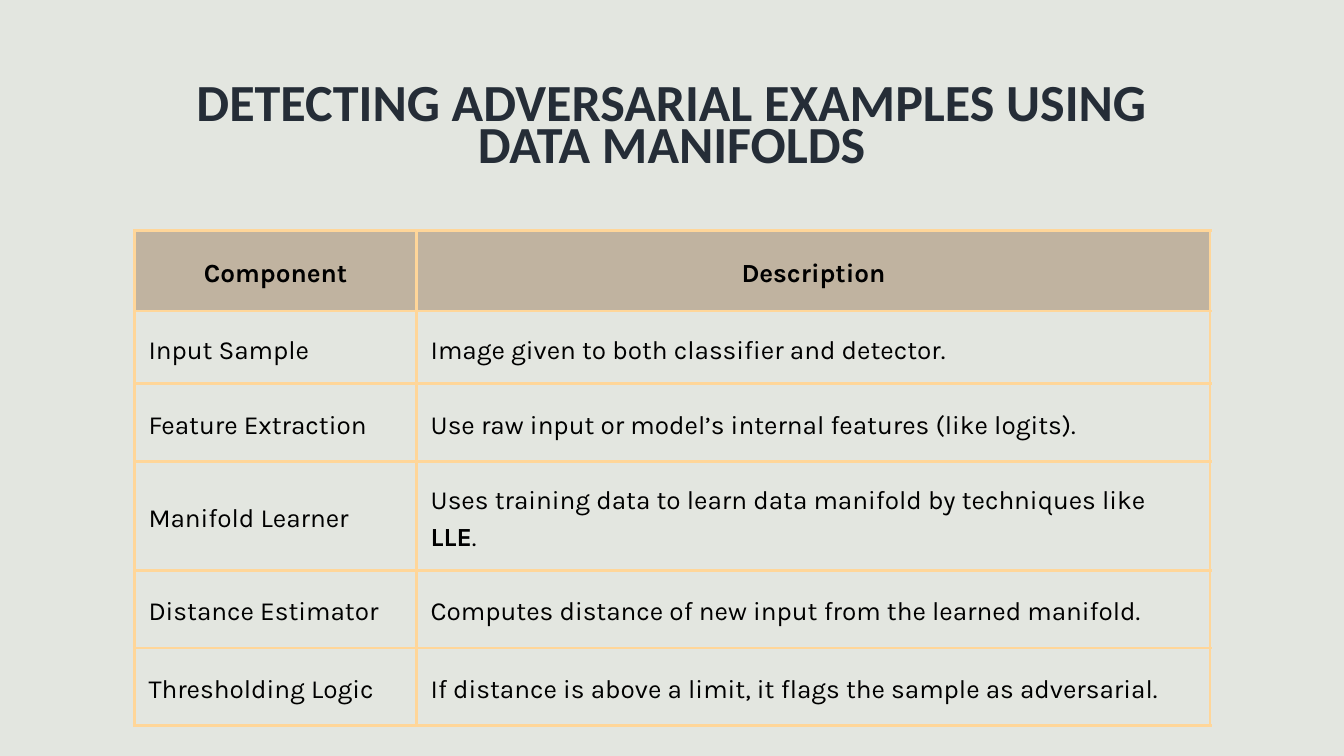
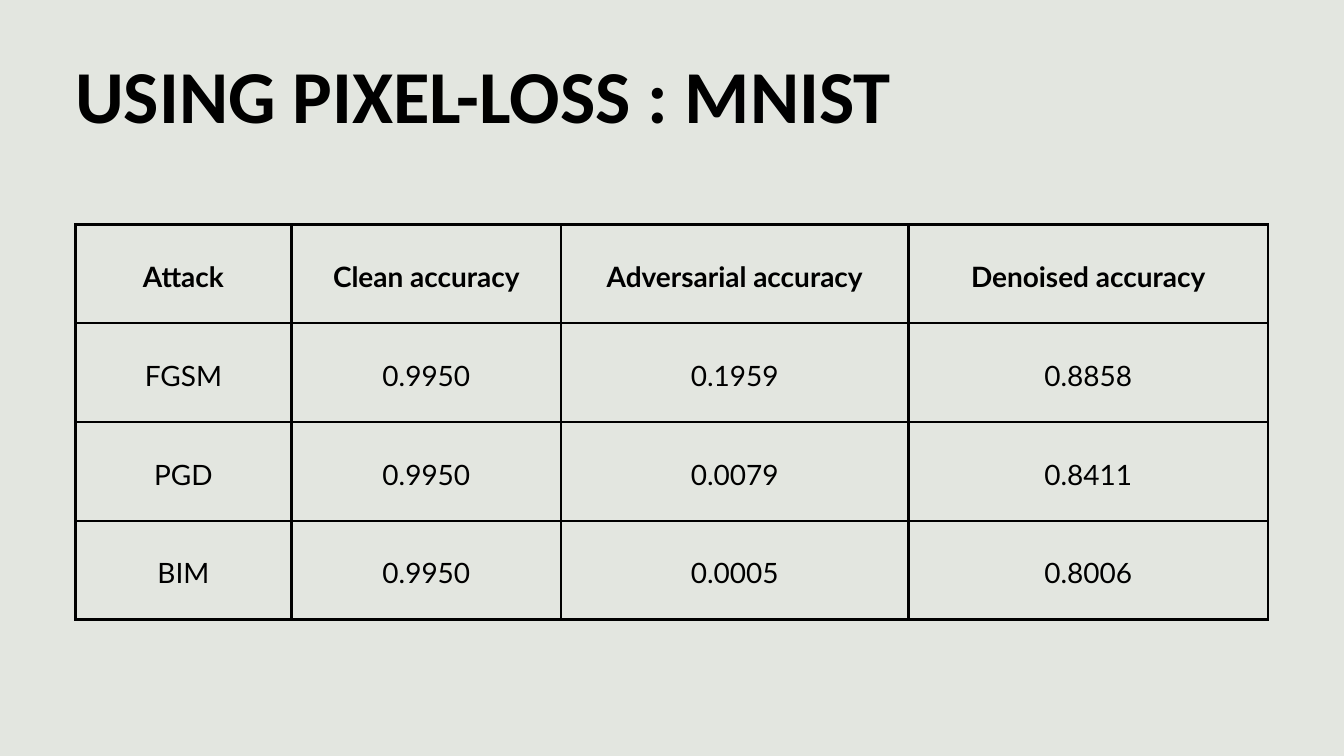
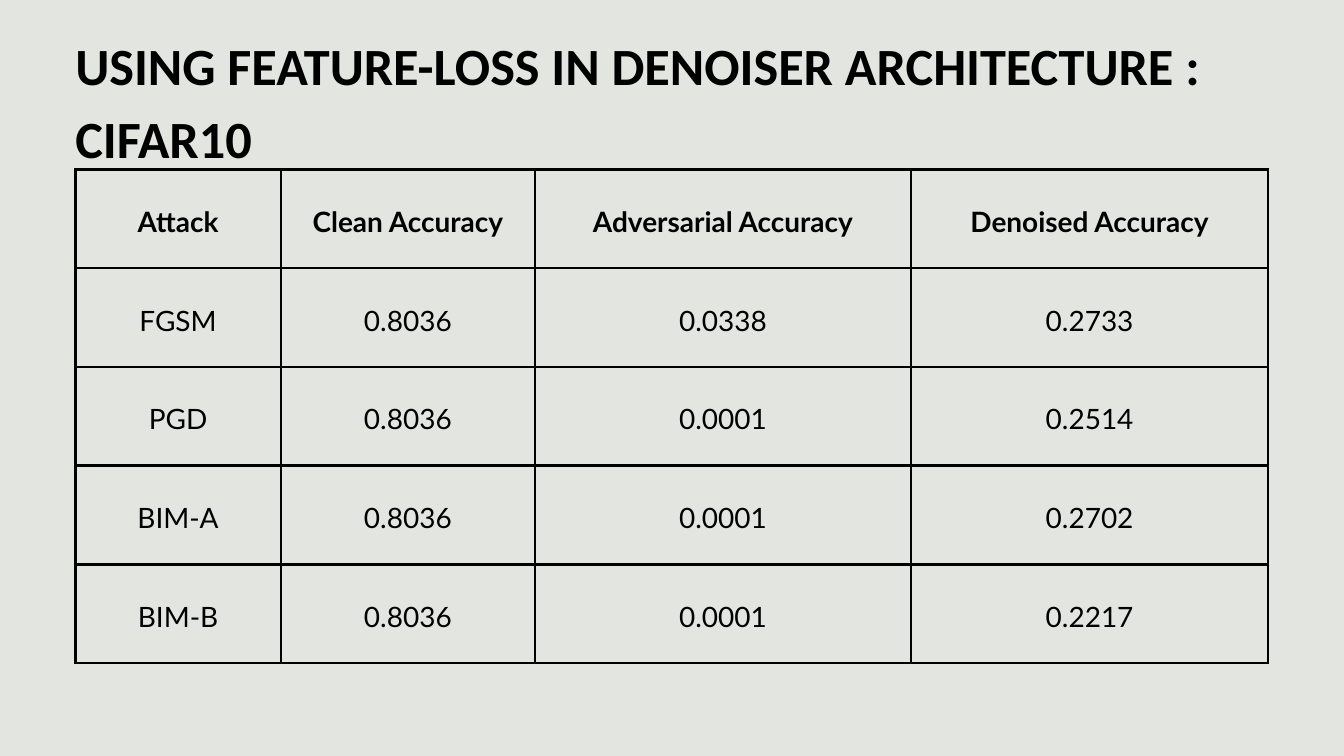
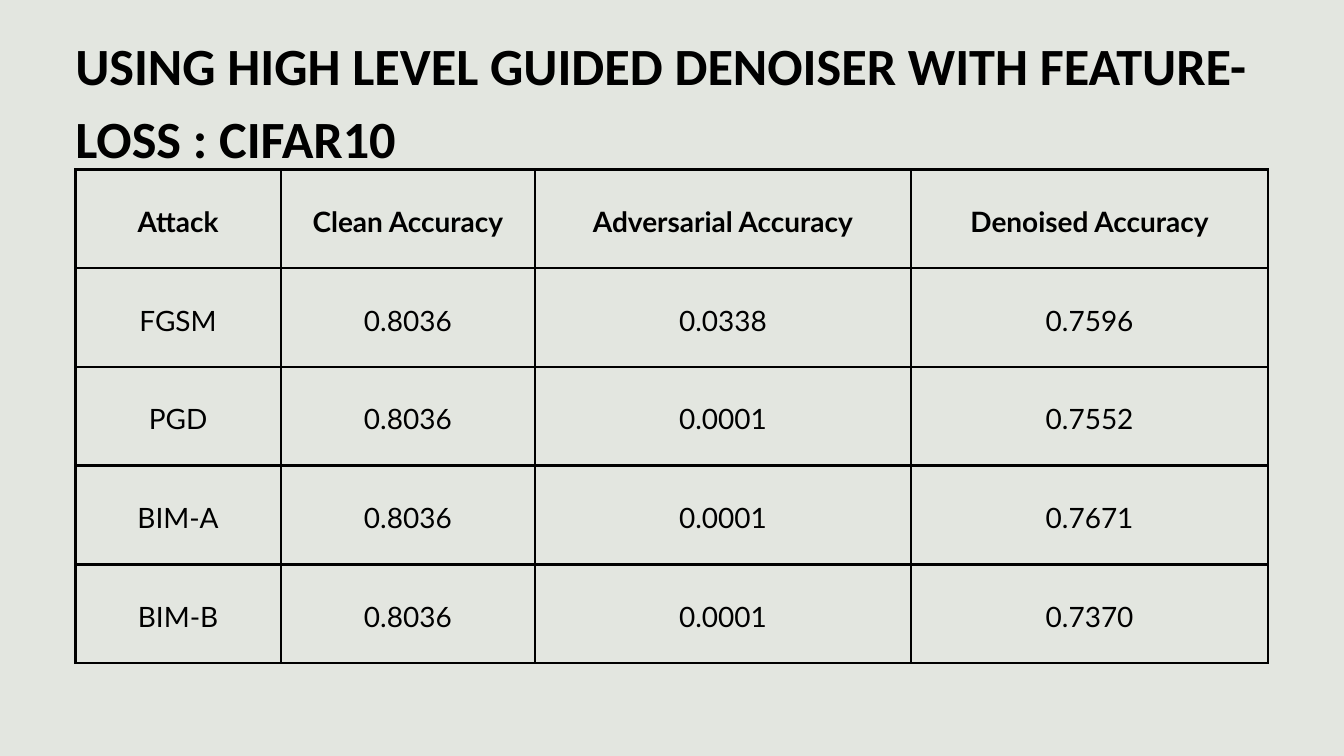
from lxml import etree
from pptx import Presentation
from pptx.dml.color import RGBColor
from pptx.enum.text import MSO_ANCHOR, MSO_AUTO_SIZE, PP_ALIGN
from pptx.oxml.ns import qn
from pptx.util import Inches, Pt

LEFT, CENTER = PP_ALIGN.LEFT, PP_ALIGN.CENTER
TOP, MIDDLE = MSO_ANCHOR.TOP, MSO_ANCHOR.MIDDLE
GROW = MSO_AUTO_SIZE.SHAPE_TO_FIT_TEXT

# Shared look
PAPER, INK, SLATE = "E3E6E0", "000000", "252D37"
SAND, GOLD = "C0B3A0", "FFD699"
TITLE_FONT = "Calibri"
CELL_MARGIN = Inches(0.21)
BORDER_WIDTH = Pt(3)
LINE_FACTOR = 1.4
TITLE_ONLY_LAYOUT = 5


def color(hex_string):
    return RGBColor.from_string(hex_string)


def write(frame, text, font, size, hex_string, bold, align, spacing):
    """Fill the first paragraph; parts between ** marks are bold."""
    para = frame.paragraphs[0]
    para.alignment = align
    para.line_spacing = Pt(spacing)
    for index, part in enumerate(text.split("**")):
        span = para.add_run()
        span.text = part
        span.font.name = font
        span.font.size = Pt(size)
        span.font.bold = bold or index % 2 == 1
        span.font.color.rgb = color(hex_string)


# Table styles
component_style = {"font": "Karla", "size": 28, "border": GOLD,
                   "header_fill": SAND, "body_align": LEFT}
accuracy_style = {"font": "Lato", "size": 30, "border": INK,
                  "header_fill": None, "body_align": CENTER}

# Title styles
centered_title = {"place": (2.26, 1.34, 15.47, 1.32), "size": 55.8,
                  "spacing": 44.7, "color": SLATE, "align": CENTER}
large_title = {"place": (1.12, 0.51, 15.17, 1.51), "size": 80,
               "spacing": 112, "color": INK, "align": LEFT}
two_line_title = {"place": (1.12, 0.34, 17.67, 2.14), "size": 56,
                  "spacing": 78.4, "color": INK, "align": LEFT}

# Table contents
components = [
    ("Component", "Description"),
    ("Input Sample", "Image given to both classifier and detector."),
    ("Feature Extraction", "Use raw input or model’s internal features (like logits)."),
    ("Manifold Learner", "Uses training data to learn data manifold by techniques like **LLE**."),
    ("Distance Estimator", "Computes distance of new input from the learned manifold."),
    ("Thresholding Logic", "If distance is above a limit, it flags the sample as adversarial."),
]
mnist = [
    ("Attack", "Clean accuracy", "Adversarial accuracy", "Denoised accuracy"),
    ("FGSM", "0.9950", "0.1959", "0.8858"),
    ("PGD", "0.9950", "0.0079", "0.8411"),
    ("BIM", "0.9950", "0.0005", "0.8006"),
]
cifar_attacks = [
    ("Attack", "Clean Accuracy", "Adversarial Accuracy"),
    ("FGSM", "0.8036", "0.0338"),
    ("PGD", "0.8036", "0.0001"),
    ("BIM-A", "0.8036", "0.0001"),
    ("BIM-B", "0.8036", "0.0001"),
]
feature_loss = ["Denoised Accuracy", "0.2733", "0.2514", "0.2702", "0.2217"]
guided_denoiser = ["Denoised Accuracy", "0.7596", "0.7552", "0.7671", "0.7370"]
cifar_widths = [3.06, 3.78, 5.6, 5.31]
accuracy_height = 1.47

# Pages: title, title style, table style, table corner, widths, heights, rows
pages = [
    ("DETECTING ADVERSARIAL EXAMPLES USING DATA MANIFOLDS", centered_title,
     component_style, (2, 3.43), [4.2, 11.81],
     [1.2, 1.08, 1.16, 1.62, 1.15, 1.16], components),
    ("USING PIXEL-LOSS : MNIST", large_title,
     accuracy_style, (1.12, 3.34), [3.22, 4.01, 5.17, 5.35],
     [accuracy_height] * len(mnist), mnist),
]
for title_text, denoised in (
    ("USING FEATURE-LOSS IN DENOISER ARCHITECTURE : CIFAR10", feature_loss),
    ("USING HIGH LEVEL GUIDED DENOISER WITH FEATURE-LOSS : CIFAR10", guided_denoiser),
):
    rows = [(*attack, value) for attack, value in zip(cifar_attacks, denoised)]
    pages.append((title_text, two_line_title, accuracy_style, (1.12, 2.52),
                  cifar_widths, [accuracy_height] * len(rows), rows))

# Deck and background
deck = Presentation()
deck.slide_width, deck.slide_height = Inches(20), Inches(11.25)
background = deck.slide_master.background.fill
background.solid()
background.fore_color.rgb = color(PAPER)

for title_text, title_style, style, corner, widths, heights, rows in pages:
    page = deck.slides.add_slide(deck.slide_layouts[TITLE_ONLY_LAYOUT])

    # Title
    title = page.shapes.title
    title.left, title.top, title.width, title.height = map(Inches, title_style["place"])
    frame = title.text_frame
    frame.word_wrap = True
    frame.auto_size = GROW
    frame.vertical_anchor = TOP
    frame.margin_left = frame.margin_right = frame.margin_top = frame.margin_bottom = 0
    write(frame, title_text, TITLE_FONT, title_style["size"], title_style["color"],
          True, title_style["align"], title_style["spacing"])

    # Table grid
    table = page.shapes.add_table(
        len(rows), len(widths), Inches(corner[0]), Inches(corner[1]),
        Inches(sum(widths)), Inches(sum(heights))).table
    table.horz_banding = False
    for column, width in zip(table.columns, widths):
        column.width = Inches(width)
    for row, height in zip(table.rows, heights):
        row.height = Inches(height)

    # Table cells
    for row_index, texts in enumerate(rows):
        is_header = row_index == 0
        for column_index, text in enumerate(texts):
            cell = table.cell(row_index, column_index)
            cell.vertical_anchor = MIDDLE
            cell.margin_left = cell.margin_right = CELL_MARGIN
            cell.margin_top = cell.margin_bottom = CELL_MARGIN
            write(cell.text_frame, text, style["font"], style["size"], INK, is_header,
                  CENTER if is_header else style["body_align"],
                  style["size"] * LINE_FACTOR)

            # Borders come before the fill in the cell properties
            properties = cell._tc.get_or_add_tcPr()
            for side in ("a:lnL", "a:lnR", "a:lnT", "a:lnB"):
                line = etree.SubElement(properties, qn(side), w=str(BORDER_WIDTH))
                solid = etree.SubElement(line, qn("a:solidFill"))
                etree.SubElement(solid, qn("a:srgbClr"), val=style["border"])
            if is_header and style["header_fill"]:
                cell.fill.solid()
                cell.fill.fore_color.rgb = color(style["header_fill"])
            else:
                cell.fill.background()

deck.save("out.pptx")
